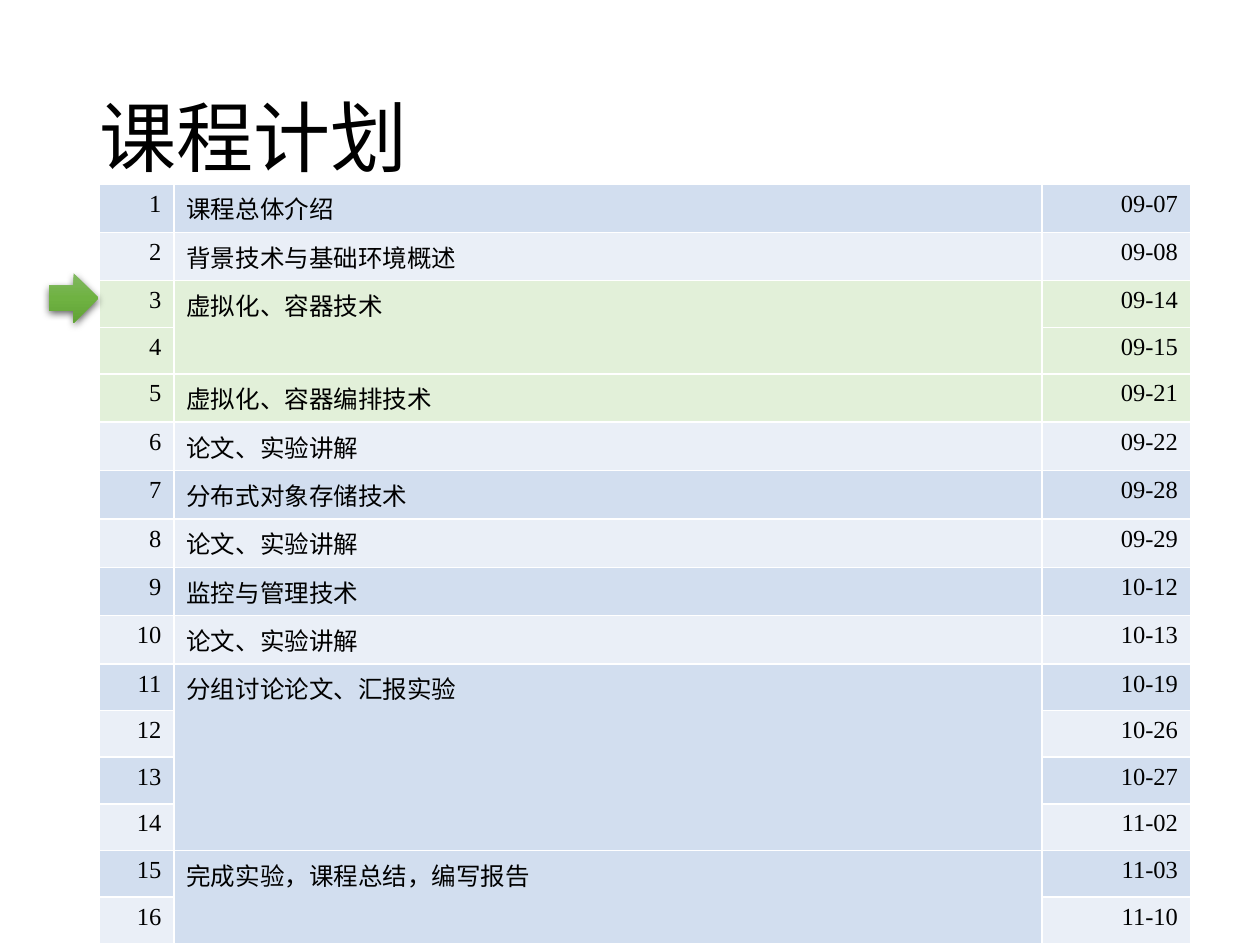
from copy import deepcopy
from dataclasses import dataclass

from lxml.etree import SubElement
from pptx import Presentation
from pptx.dml.color import RGBColor
from pptx.enum.shapes import MSO_SHAPE as Shape
from pptx.enum.text import MSO_ANCHOR as Anchor, PP_ALIGN as Align
from pptx.oxml.ns import qn
from pptx.util import Inches, Pt

FONT = "Times New Roman"
COLORS = {
    "text": "000000",
    "border": "FFFFFF",
    "odd": "D2DEEF",
    "even": "EAEFF7",
    "current": "E2F0D9",
    "arrow_top": "81B861",
    "arrow_mid": "6FB242",
    "arrow_end": "62A336",
    "shadow": "000000",
}
TABLE_LEFT, TABLE_TOP, ROW_HEIGHT = 0.79, 1.46, 0.37
COL_WIDTHS = (0.59, 6.89, 1.18)
ARROW_SIZE = 0.39


@dataclass
class Topic:
    """A topic and the dates of the lessons it takes."""
    name: str
    dates: tuple[str, ...]
    current: bool = False


TOPICS = (
    Topic("课程总体介绍", ("09-07",)),
    Topic("背景技术与基础环境概述", ("09-08",)),
    Topic("虚拟化、容器技术", ("09-14", "09-15"), current=True),
    Topic("虚拟化、容器编排技术", ("09-21",), current=True),
    Topic("论文、实验讲解", ("09-22",)),
    Topic("分布式对象存储技术", ("09-28",)),
    Topic("论文、实验讲解", ("09-29",)),
    Topic("监控与管理技术", ("10-12",)),
    Topic("论文、实验讲解", ("10-13",)),
    Topic("分组讨论论文、汇报实验", ("10-19", "10-26", "10-27", "11-02")),
    Topic("完成实验，课程总结，编写报告", ("11-03", "11-10")),
)


def rgb(name: str) -> RGBColor:
    return RGBColor.from_string(COLORS[name])


def write(tf, text: str, *, size: float, align=Align.LEFT, spacing: float | None = None) -> None:
    p = tf.paragraphs[0]
    p.alignment = align
    if spacing:
        p.line_spacing = spacing
    r = p.add_run()
    r.text = text
    r.font.name = FONT
    r.font.size = Pt(size)
    r.font.color.rgb = rgb("text")


def set_cell(cell, fill: str, text: str = "", align=Align.LEFT) -> None:
    """Give a cell its borders, fill and text."""
    tc_pr = cell._tc.get_or_add_tcPr()
    for side in ("a:lnL", "a:lnR", "a:lnT", "a:lnB"):
        ln = SubElement(tc_pr, qn(side), w=str(Pt(1)))
        SubElement(SubElement(ln, qn("a:solidFill")), qn("a:srgbClr"), val=COLORS["border"])
    cell.fill.solid()
    cell.fill.fore_color.rgb = rgb(fill)
    if text:
        write(cell.text_frame, text, size=14, align=align)


def add_schedule(s) -> None:
    rows = sum(len(topic.dates) for topic in TOPICS)
    frame = s.shapes.add_table(rows, len(COL_WIDTHS), Inches(TABLE_LEFT), Inches(TABLE_TOP),
                               Inches(sum(COL_WIDTHS)), Inches(rows * ROW_HEIGHT))
    table = frame.table
    table.first_row = table.horz_banding = False
    for col, width in zip(table.columns, COL_WIDTHS):
        col.width = Inches(width)
    for row in table.rows:
        row.height = Inches(ROW_HEIGHT)

    first = 0
    for topic in TOPICS:
        for i, date in enumerate(topic.dates):
            row = first + i
            fill = "current" if topic.current else ("odd", "even")[row % 2]
            set_cell(table.cell(row, 0), fill, str(row + 1), Align.RIGHT)
            set_cell(table.cell(row, 1), fill, "" if i else topic.name)
            set_cell(table.cell(row, 2), fill, date, Align.RIGHT)
        if len(topic.dates) > 1:
            table.cell(first, 1).merge(table.cell(row, 1))
        first = row + 1


def add_arrow(s) -> None:
    """Point at the current lesson with a shaded, shadowed arrow."""
    sp = s.shapes.add_shape(Shape.RIGHT_ARROW, Inches(TABLE_LEFT - ARROW_SIZE - 0.01),
                            Inches(2.17), Inches(ARROW_SIZE), Inches(ARROW_SIZE))
    sp.line.fill.background()
    sp.fill.gradient()
    sp.fill.gradient_angle = 270
    stop_list = sp._element.spPr.find(qn("a:gradFill")).find(qn("a:gsLst"))
    stop_list.insert(1, deepcopy(stop_list[0]))
    names = ("arrow_top", "arrow_mid", "arrow_end")
    for stop, name, position in zip(sp.fill.gradient_stops, names, (0, 0.5, 1)):
        stop.color.rgb = rgb(name)
        stop.position = position

    sp.shadow.inherit = False
    effects = sp._element.spPr.find(qn("a:effectLst"))
    shadow = SubElement(effects, qn("a:outerShdw"), blurRad=str(Pt(4.5)), dist=str(Pt(1.5)),
                        dir="5400000", algn="ctr", rotWithShape="0")
    color = SubElement(shadow, qn("a:srgbClr"), val=COLORS["shadow"])
    SubElement(color, qn("a:alpha"), val="63000")


def main() -> None:
    prs = Presentation()
    prs.slide_width, prs.slide_height = Inches(10), Inches(7.5)
    s = prs.slides.add_slide(prs.slide_layouts[5])

    title = s.shapes.title
    title.left, title.top = Inches(0.69), Inches(0.4)
    title.width, title.height = Inches(8.62), Inches(1.45)
    title.text_frame.vertical_anchor = Anchor.MIDDLE
    write(title.text_frame, "课程计划", size=44, spacing=0.9)

    add_schedule(s)
    add_arrow(s)
    prs.save("out.pptx")


if __name__ == "__main__":
    main()
